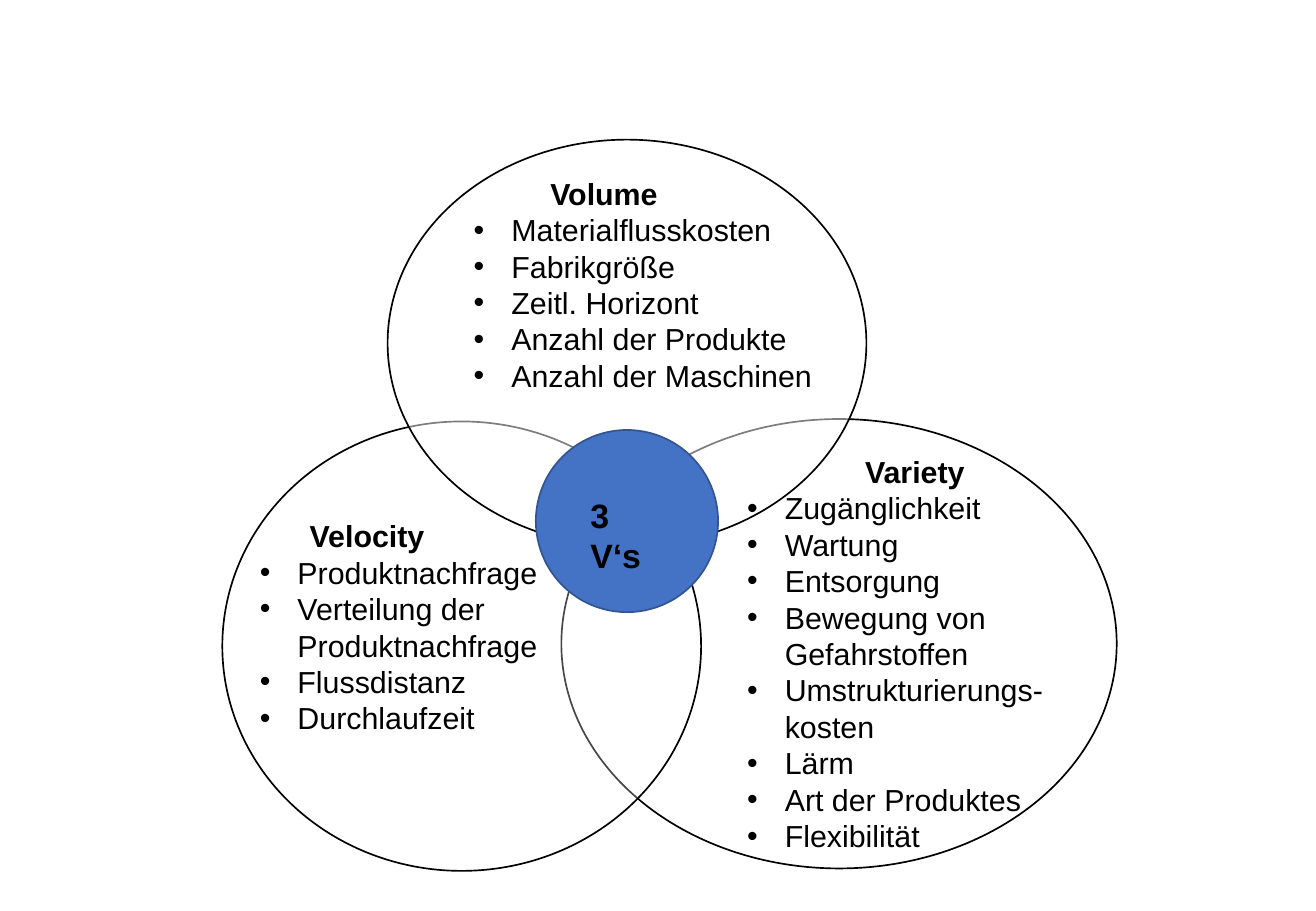
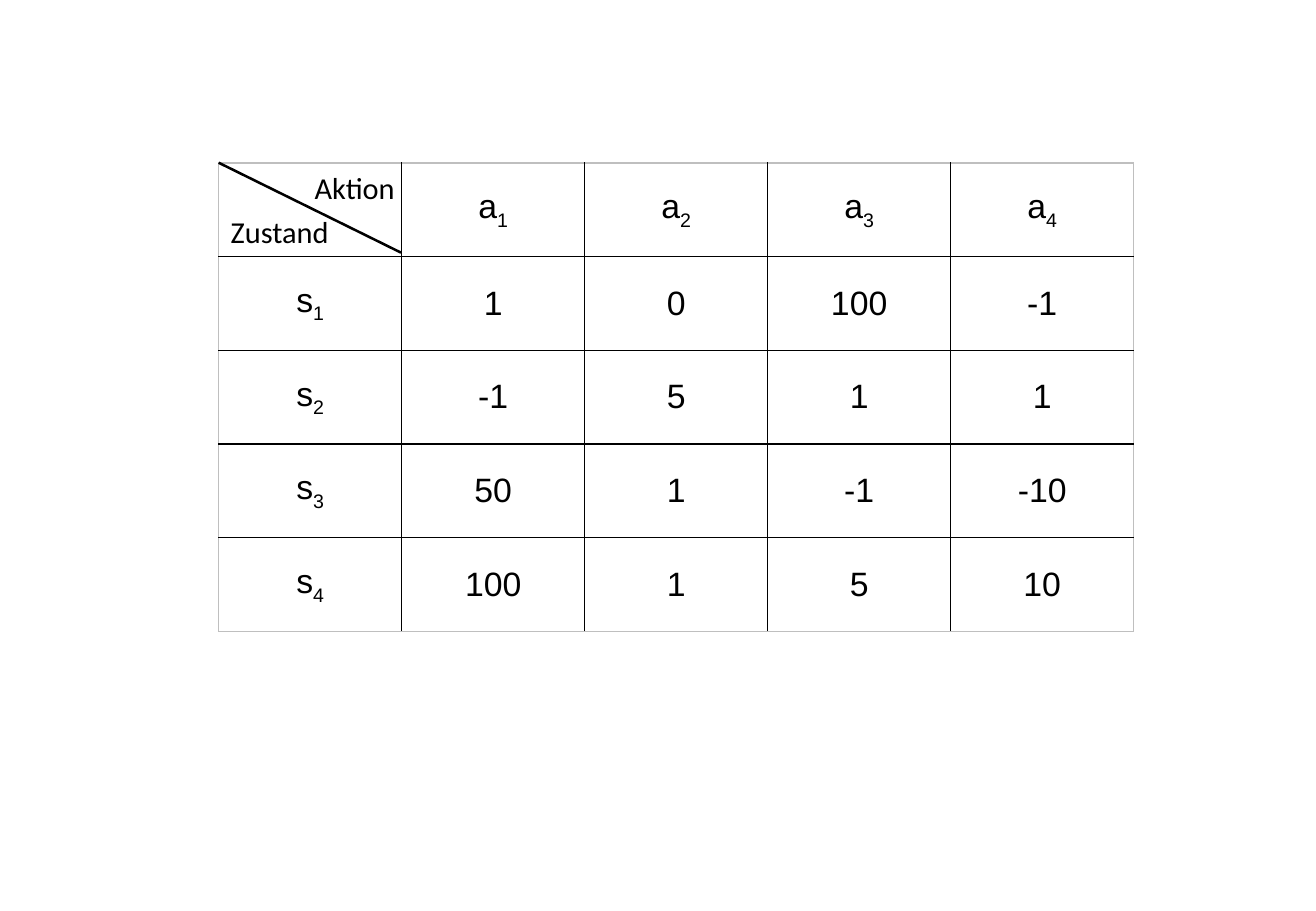
import pptx
import pptx.dml.color
import pptx.enum.shapes
import pptx.enum.text
import pptx.oxml
import pptx.oxml.ns
import pptx.util
from lxml import etree

Inches, Pt = pptx.util.Inches, pptx.util.Pt
RGB = pptx.dml.color.RGBColor
BLACK = RGB(0x00, 0x00, 0x00)
WHITE = RGB(0xFF, 0xFF, 0xFF)
BLUE = RGB(0x44, 0x72, 0xC4)
NAVY = RGB(0x32, 0x54, 0x91)
GREY = RGB(0xBF, 0xBF, 0xBF)
qn = pptx.oxml.ns.qn

deck = pptx.Presentation()
deck.slide_width, deck.slide_height = Inches(10.83), Inches(7.5)
blank = deck.slide_layouts[6]


def add_run(para, text, size, bold=False, face="Arial"):
    run = para.add_run()
    run.text = text
    run.font.size, run.font.bold, run.font.name = Pt(size), bold, face
    run.font.color.rgb = BLACK
    return run


def add_box(slide, *place):
    box = slide.shapes.add_textbox(*map(Inches, place))
    box.text_frame.word_wrap = True
    box.text_frame.auto_size = pptx.enum.text.MSO_AUTO_SIZE.SHAPE_TO_FIT_TEXT
    return box.text_frame


# Slide 1: three circles around a centre
venn = deck.slides.add_slide(blank)

# Place, fill, line, opacity in percent
rings = [
    ((4.62, 3.45, 4.57, 3.7), WHITE, BLACK, 100),
    ((1.83, 3.47, 3.94, 3.7), WHITE, BLACK, 28),
    ((3.19, 1.15, 3.94, 3.35), WHITE, BLACK, 49),
    ((4.41, 3.54, 1.5, 1.5), BLUE, NAVY, 100),
]
for place, fill, edge, solid in rings:
    ring = venn.shapes.add_shape(pptx.enum.shapes.MSO_SHAPE.OVAL, *map(Inches, place))
    ring.shadow.inherit = False
    ring.fill.solid()
    ring.fill.fore_color.rgb = fill
    ring.line.color.rgb = edge
    ring.line.width = Pt(1)
    if solid < 100:
        tint = ring.fill._xPr.find(".//" + qn("a:srgbClr"))
        etree.SubElement(tint, qn("a:alpha"), val=str(solid * 1000))

# Place, heading, heading indent, bullets
lists = [
    ((2.04, 4.21, 2.53, 1.92), "Velocity", 0.41,
     ["Produktnachfrage", "Verteilung der Produktnachfrage", "Flussdistanz",
      "Durchlaufzeit"]),
    ((3.8, 1.39, 3.22, 1.92), "Volume", 0.63,
     ["Materialflusskosten", "Fabrikgröße", "Zeitl. Horizont",
      "Anzahl der Produkte", "Anzahl der Maschinen"]),
    ((6.05, 3.68, 2.99, 3.43), "Variety", 0.97,
     ["Zugänglichkeit", "Wartung", "Entsorgung", "Bewegung von Gefahrstoffen",
      "Umstrukturierungs-kosten", "Lärm", "Art der Produktes", "Flexibilität"]),
]
for place, head, indent, items in lists:
    frame = add_box(venn, *place)
    para = frame.paragraphs[0]
    para._p.get_or_add_pPr().set("marL", str(Inches(indent)))
    add_run(para, head, 18, True)
    for item in items:
        para = frame.add_paragraph()
        props = para._p.get_or_add_pPr()
        props.set("marL", str(Inches(0.31)))
        props.set("indent", str(Inches(-0.31)))
        etree.SubElement(props, qn("a:buFont"), typeface="Arial")
        etree.SubElement(props, qn("a:buChar"), char="•")
        add_run(para, item, 18)

label = add_box(venn, 4.76, 4.02, 0.79, 0.39)
add_run(label.paragraphs[0], "3 V‘s", 20, True)

# Slide 2: table of states and actions
matrix = deck.slides.add_slide(blank)
rows = [
    ["", "a1", "a2", "a3", "a4"],
    ["s1", "1", "0", "100", "-1"],
    ["s2", "-1", "5", "1", "1"],
    ["s3", "50", "1", "-1", "-10"],
    ["s4", "100", "1", "5", "10"],
]
count = len(rows)
grid = matrix.shapes.add_table(count, count, Inches(1.8), Inches(1.34),
                               Inches(7.53), Inches(3.86)).table
grid.first_row = grid.horz_banding = False
for row, texts in enumerate(rows):
    for col, text in enumerate(texts):
        cell = grid.cell(row, col)
        cell.vertical_anchor = pptx.enum.text.MSO_ANCHOR.MIDDLE
        para = cell.text_frame.paragraphs[0]
        para.alignment = pptx.enum.text.PP_ALIGN.CENTER
        if text:
            named = text[0] in "as"
            add_run(para, text[0] if named else text, 20)
            if named:
                low = add_run(para, text[1:], 20)
                low._r.get_or_add_rPr().set("baseline", "-25000")

        # Black inner borders, grey outer frame
        props = cell._tc.get_or_add_tcPr()
        outer = {"L": col == 0, "R": col == count - 1,
                 "T": row == 0, "B": row == count - 1}
        for side, edge in outer.items():
            line = etree.SubElement(props, qn("a:ln" + side), w=str(Pt(1)))
            paint = etree.SubElement(line, qn("a:solidFill"))
            etree.SubElement(paint, qn("a:srgbClr"), val=str(GREY if edge else BLACK))
        cell.fill.background()

# Split corner cell
add_run(add_box(matrix, 1.8, 1.71, 1.14, 0.4).paragraphs[0], "Zustand", 18, face="Calibri")
slash = matrix.shapes.add_connector(pptx.enum.shapes.MSO_CONNECTOR.STRAIGHT,
                                    *map(Inches, (1.8, 1.34, 3.3, 2.08)))
slash.line.color.rgb = BLACK
slash.line.width = Pt(1.5)
etree.SubElement(slash._element.spPr, qn("a:effectLst"))
add_run(add_box(matrix, 2.49, 1.34, 0.92, 0.4).paragraphs[0], "Aktion", 18, face="Calibri")

deck.save("out.pptx")
